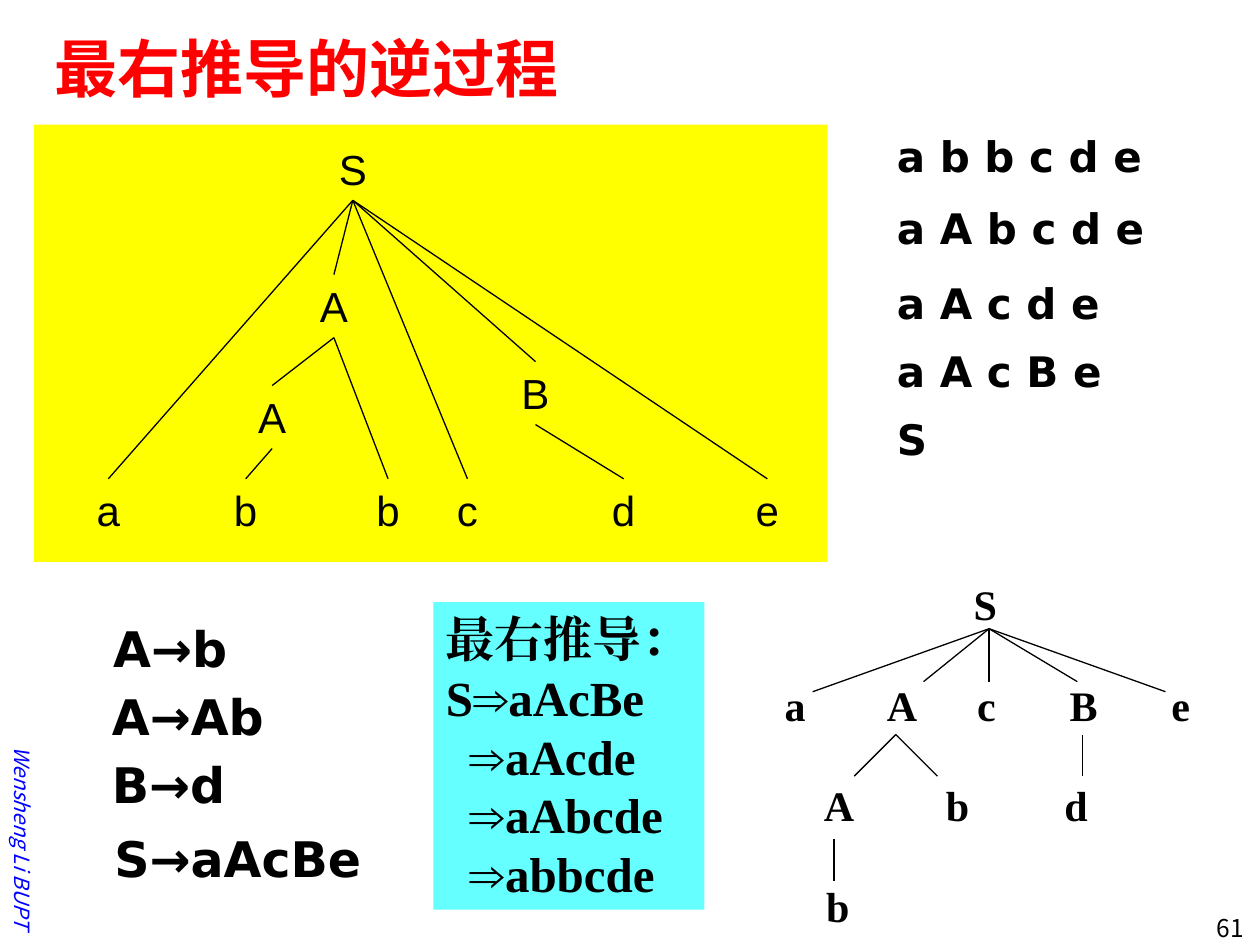
from lxml.etree import SubElement
from pptx import Presentation
from pptx.dml.color import RGBColor
from pptx.enum.shapes import MSO_CONNECTOR, MSO_SHAPE
from pptx.enum.text import MSO_ANCHOR, MSO_AUTO_SIZE, PP_ALIGN
from pptx.oxml.ns import qn
from pptx.util import Inches, Pt

COLS, ROWS = 100, 75
WIDTH, HEIGHT = Inches(10), Inches(7.5)
COLORS = {"title": "FF0000", "text": "000000", "footer": "0000FF",
          "tree": "FFFF00", "derivation": "66FFFF"}
CJK, SANS, WIDE, SERIF = "Noto Sans CJK SC", "Arial", "DejaVu Sans", "Times New Roman"
NODE = 5  # height and width of a tree node, in grid cells

# Label, centre column, centre row, index of the parent
PARSE_TREE = [
    ("S", 28, 13.4, None),
    ("A", 26.5, 24.3, 0), ("A", 21.6, 33.1, 1), ("B", 42.5, 31.2, 0),
    ("a", 8.6, 40.5, 0), ("b", 19.5, 40.5, 2), ("b", 30.8, 40.5, 1),
    ("c", 37.1, 40.5, 0), ("d", 49.5, 40.5, 3), ("e", 60.9, 40.5, 0),
]
# Centre row of each level, with its labels and their centre columns
SMALL_LEVELS = [
    (47.9, [("S", 78.2)]),
    (55.9, [("a", 63.1), ("A", 71.6), ("c", 78.3), ("B", 86), ("e", 93.7)]),
    (63.9, [("A", 66.6), ("b", 76), ("d", 85.4)]),
    (71.9, [("b", 66.5)]),
]
# Start of each fan of branches, with the ends
SMALL_FANS = [
    ((78.5, 49.9), [(64.5, 54.9), (73.3, 54.1), (78.5, 54.1), (85.5, 54.1), (92.5, 54.9)]),
    ((71.1, 58.3), [(67.8, 61.6), (74.4, 61.6)]),
    ((85.9, 58.3), [(85.9, 61.6)]),
    ((66.2, 66.6), [(66.2, 69.9)]),
]
SENTENCES = [("a b b c d e", 9.9), ("a A b c d e", 15.6), ("a A c d e", 21.5),
             ("a A c B e", 26.9), ("S", 32.3)]
RULES = [("A→b", 8, 48.6), ("A→Ab", 7.9, 54), ("B→d", 7.9, 59.4), ("S→aAcBe", 8.1, 65.3)]
DERIVATION = ["最右推导：", "S⇒aAcBe", "⇒aAcde", "⇒aAbcde", "⇒abbcde"]


def col(x):
    return round(WIDTH * x / COLS)


def row(y):
    return round(HEIGHT * y / ROWS)


def area(x, y, w, h):
    return col(x), row(y), col(w), row(h)


def write(p, text, font, size, color="text", bold=False, italic=False, align=PP_ALIGN.LEFT):
    p.alignment = align
    r = p.add_run()
    r.text = text
    f = r.font
    f.name, f.size, f.bold, f.italic = font, Pt(size), bold, italic
    f.color.rgb = RGBColor.from_string(COLORS[color])
    SubElement(f._element, qn("a:ea")).set("typeface", font)


def add_text(s, text, box, font, size, wrap=True, anchor=MSO_ANCHOR.TOP, **fmt):
    sp = s.shapes.add_textbox(*area(*box))
    tf = sp.text_frame
    tf.word_wrap, tf.vertical_anchor = wrap, anchor
    write(tf.paragraphs[0], text, font, size, **fmt)
    return sp


def add_panel(s, box, color):
    sp = s.shapes.add_shape(MSO_SHAPE.RECTANGLE, *area(*box))
    sp.shadow.inherit = False
    sp.fill.solid()
    sp.fill.fore_color.rgb = RGBColor.from_string(COLORS[color])
    sp.line.fill.background()
    return sp


def add_branch(s, start, end):
    cx = s.shapes.add_connector(MSO_CONNECTOR.STRAIGHT, col(start[0]), row(start[1]),
                                col(end[0]), row(end[1]))
    cx.line.color.rgb = RGBColor.from_string(COLORS["text"])
    cx.line.width = Pt(0.75)
    SubElement(cx._element.spPr, qn("a:effectLst"))


def add_node(s, label, x, y, font, **fmt):
    add_text(s, label, (x - NODE / 2, y - NODE / 2, NODE, NODE), font, 24,
             align=PP_ALIGN.CENTER, **fmt)


def add_parse_tree(s):
    add_panel(s, (2.7, 9.9, 63, 34.7), "tree")
    for label, x, y, parent in PARSE_TREE:
        add_node(s, label, x, y, SANS)
        if parent is not None:
            _, px, py, _ = PARSE_TREE[parent]
            add_branch(s, (px, py + NODE / 2), (x, y - NODE / 2))


def add_small_tree(s):
    for y, nodes in SMALL_LEVELS:
        for label, x in nodes:
            add_node(s, label, x, y, SERIF, bold=True)
    for start, ends in SMALL_FANS:
        for end in ends:
            add_branch(s, start, end)


def add_derivation(s):
    tf = add_panel(s, (34.4, 47.8, 21.5, 24.4), "derivation").text_frame
    tf.word_wrap, tf.vertical_anchor = False, MSO_ANCHOR.TOP
    for i, line in enumerate(DERIVATION):
        p = tf.add_paragraph() if i else tf.paragraphs[0]
        if line.startswith("⇒"):
            p._p.get_or_add_pPr().set("marL", str(col(1.9)))
        write(p, line, SERIF, 28, bold=True)


def add_title(s, text):
    sp = s.shapes.title
    sp.left, sp.top, sp.width, sp.height = area(3.3, 1.7, 94.2, 7.3)
    tf = sp.text_frame
    tf.auto_size, tf.vertical_anchor = MSO_AUTO_SIZE.NONE, MSO_ANCHOR.MIDDLE
    write(tf.paragraphs[0], text, CJK, 36, color="title", bold=True)


def main():
    prs = Presentation()
    prs.slide_width, prs.slide_height = WIDTH, HEIGHT
    s = prs.slides.add_slide(prs.slide_layouts[5])
    add_title(s, "最右推导的逆过程")
    footer = add_text(s, "Wensheng Li BUPT", (-11.4, 60, 26.4, 3), CJK, 12,
                      anchor=MSO_ANCHOR.MIDDLE, color="footer", italic=True,
                      align=PP_ALIGN.RIGHT)
    footer.rotation = 90
    add_text(s, "61", (89.9, 72, 9.8, 3), CJK, 14, align=PP_ALIGN.RIGHT)
    add_parse_tree(s)
    for text, y in SENTENCES:
        add_text(s, text, (70.2, y, 25.8, 5), WIDE, 24, bold=True)
    add_small_tree(s)
    for text, x, y in RULES:
        add_text(s, text, (x, y, 22.2, 5.7), WIDE, 28, bold=True)
    add_derivation(s)
    prs.save("out.pptx")


if __name__ == "__main__":
    main()
